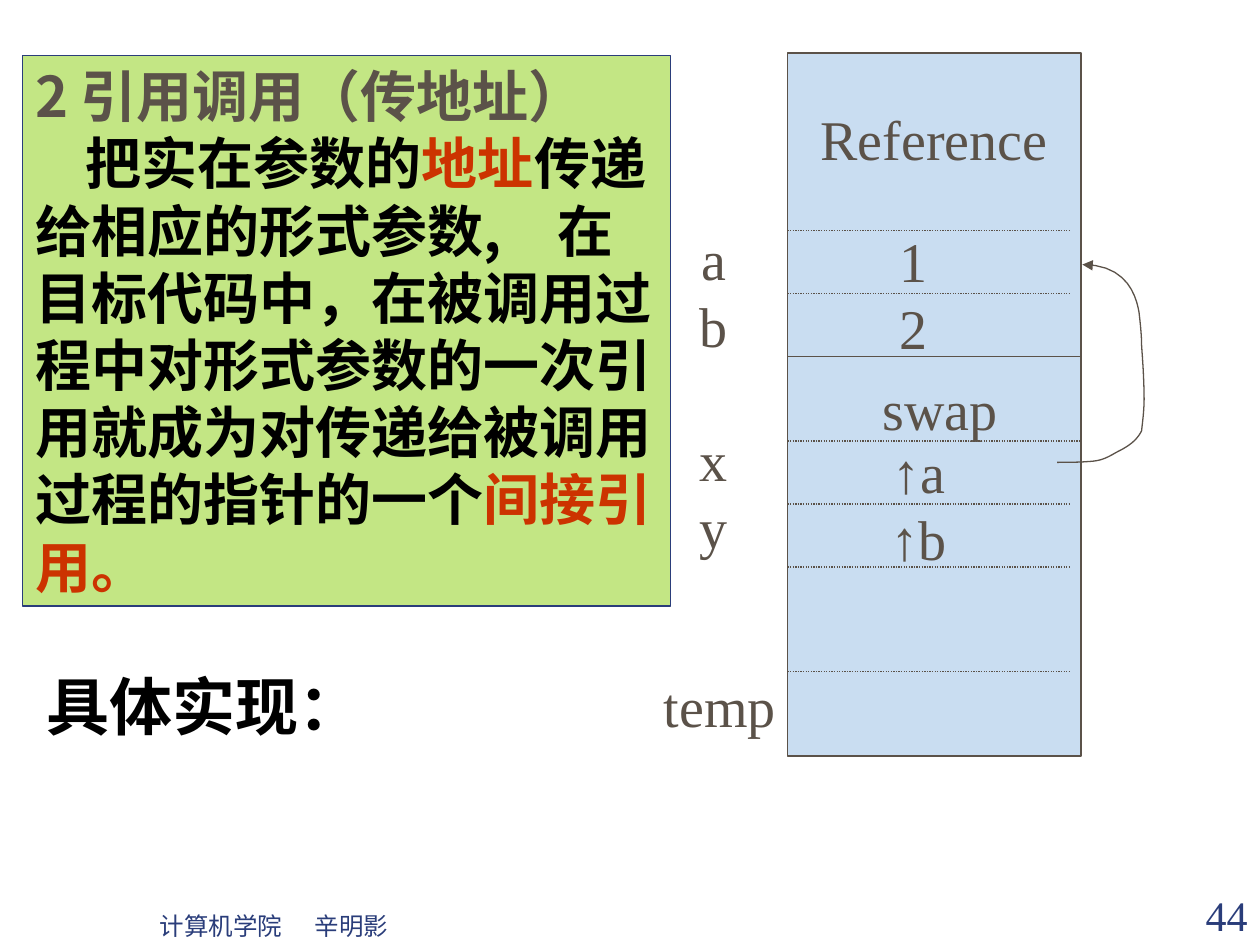
import pptx
import pptx.util
import pptx.dml.color
import pptx.enum.dml
import pptx.enum.shapes
import pptx.enum.text
import pptx.oxml.ns
from lxml import etree

SERIF, SANS, CJK = "Times New Roman", "Arial", "Noto Sans CJK JP"
BROWN, BLUE, RED, BLACK = "5B5249", "2A3D7A", "CC3300", "000000"
GREEN, SKY = "C3E684", "C9DDF1"
LEFT, CENTER, RIGHT = "LEFT", "CENTER", "RIGHT"

RULE = [
    [("2 引用调用（传地址）", CJK, BROWN)],
    [
        ("把实在参数的", CJK, BLACK),
        ("地址", CJK, RED),
        ("传递给相应的形式参数,　在目标代码中，在被调用过程中对形式参数的一次引用"
         "就成为对传递给被调用过程的指针的一个", CJK, BLACK),
        ("间接引用。", CJK, RED),
    ],
]
POINTERS = [[("↑", SANS, BROWN), (name, SERIF, BROWN)] for name in "ab"]

STACK_X, STACK_W, DIVIDER_W = 6.25, 2.33, 2.25
FRAMES = [(0.42, 2.42), (2.83, 3.17)]
DIVIDERS = [(1.83, DIVIDER_W), (2.33, DIVIDER_W), (3.5, STACK_W),
            (4, DIVIDER_W), (4.5, DIVIDER_W), (5.33, DIVIDER_W)]
LINE_PITCH = 1.2
CURVE_START = (8.39, 3.67)
CURVE = [
    [(8.48, 3.67), (8.58, 3.67), (8.68, 3.66)],
    [(8.77, 3.65), (8.82, 3.61), (8.88, 3.58)],
    [(8.98, 3.53), (9.03, 3.48), (9.06, 3.42)],
    [(9.07, 3.33), (9.08, 3.25), (9.08, 3.17)],
    [(9.08, 3.03), (9.07, 2.88), (9.06, 2.74)],
    [(9.06, 2.66), (9.05, 2.57), (9.04, 2.48)],
    [(9.02, 2.37), (8.96, 2.1), (8.59, 2.1)],
]
CURVE_STEPS = 10


def rgb(value):
    """Turn a hex string into a colour."""
    return pptx.dml.color.RGBColor.from_string(value)


def inches(*values):
    """Convert several lengths."""
    return [pptx.util.Inches(v) for v in values]


def add_child(parent, tag, **attrs):
    """Append a drawing element."""
    return etree.SubElement(parent, pptx.oxml.ns.qn(tag), attrs)


def set_line(shape, color=BROWN):
    """Give a shape its thin outline."""
    shape.line.color.rgb = rgb(color)
    shape.line.width = pptx.util.Pt(0.75)


def plain(text, color=BROWN):
    """Return a paragraph of one serif run."""
    return [(text, SERIF, color)]


def write(s, paragraphs, size=32, align=CENTER, bold=False, anchor="TOP"):
    """Fill a shape with paragraphs of coloured runs."""
    tf = s.text_frame
    tf.word_wrap = True
    tf.vertical_anchor = pptx.enum.text.MSO_ANCHOR[anchor]
    for i, runs in enumerate(paragraphs):
        p = tf.add_paragraph() if i else tf.paragraphs[0]
        p.alignment = pptx.enum.text.PP_ALIGN[align]
        p.line_spacing = pptx.util.Pt(LINE_PITCH * size)
        for text, font, color in runs:
            r = p.add_run()
            r.text = text
            r.font.name, r.font.bold = font, bold
            r.font.size = pptx.util.Pt(size)
            r.font.color.rgb = rgb(color)
            add_child(r.font._element, "a:ea", typeface=CJK)
    return tf


def add_text(slide, box, paragraphs, **style):
    """Add a text box."""
    return write(slide.shapes.add_textbox(*inches(*box)), paragraphs, **style)


def add_box(slide, box, fill, line):
    """Add a filled rectangle."""
    kind = pptx.enum.shapes.MSO_SHAPE.RECTANGLE
    s = slide.shapes.add_shape(kind, *inches(*box))
    s.shadow.inherit = False
    s.fill.solid()
    s.fill.fore_color.rgb = rgb(fill)
    set_line(s, line)
    return s


def add_divider(slide, y, width):
    """Add a dotted line across the stack."""
    kind = pptx.enum.shapes.MSO_CONNECTOR.STRAIGHT
    s = slide.shapes.add_connector(kind, *inches(STACK_X, y, STACK_X + width, y))
    set_line(s)
    s.line.dash_style = pptx.enum.dml.MSO_LINE.ROUND_DOT
    add_child(s._element.spPr, "a:effectLst")


def curve_points():
    """Sample the Bezier segments of the pointer arrow."""
    start, points = CURVE_START, []
    for c1, c2, end in CURVE:
        for step in range(1, CURVE_STEPS + 1):
            t = step / CURVE_STEPS
            u = 1 - t
            points.append(tuple(
                u**3 * a + 3 * u * u * t * b + 3 * u * t * t * c + t**3 * d
                for a, b, c, d in zip(start, c1, c2, end)))
        start = end
    return points


def add_pointer(slide):
    """Draw the arrow from the formal parameter to its argument."""
    builder = slide.shapes.build_freeform(*inches(*CURVE_START))
    builder.add_line_segments([inches(*pt) for pt in curve_points()], close=False)
    s = builder.convert_to_shape()
    s.shadow.inherit = False
    s.fill.background()
    set_line(s)
    add_child(s.line._get_or_add_ln(), "a:tailEnd", type="triangle")


def main():
    """Build the slide on call by reference."""
    prs = pptx.Presentation()
    prs.slide_width, prs.slide_height = inches(10, 7.5)
    slide = prs.slides.add_slide(prs.slide_layouts[6])

    rule = add_box(slide, (0.18, 0.44, 5.14, 4.37), GREEN, BLUE)
    tf = write(rule, RULE, align=LEFT, bold=True)
    tf.paragraphs[1]._p.get_or_add_pPr().set("indent", str(pptx.util.Inches(0.4)))

    upper, lower = [add_box(slide, (STACK_X, y, STACK_W, h), SKY, BROWN)
                    for y, h in FRAMES]
    tf = write(upper, [plain("Reference")], anchor="MIDDLE")
    tf.margin_bottom = pptx.util.Inches(1.12)
    for y, width in DIVIDERS:
        add_divider(slide, y, width)

    tf = add_text(slide, (5.33, 1.73, 0.67, 2.77), [plain(c) for c in "abxy"])
    tf.paragraphs[2].space_before = pptx.util.Pt(32 * LINE_PITCH)
    add_text(slide, (7, 1.75, 0.5, 1.17), [plain(c) for c in "12"])
    add_text(slide, (6.75, 2.92, 1.42, 0.64), [plain("swap")])
    add_text(slide, (6.83, 3.42, 0.92, 1.17), POINTERS)
    add_text(slide, (5.17, 5.28, 1.17, 0.64), [plain("temp")], align=LEFT)
    add_pointer(slide)

    add_text(slide, (0.27, 5.25, 4.25, 0.7), [plain("具体实现：", BLACK)],
             size=36, align=LEFT, bold=True)
    add_text(slide, (9, 7.01, 1, 0.5), [plain("44", BLUE)],
             size=24, align=RIGHT, anchor="BOTTOM")
    tf = add_text(slide, (1.17, 7.01, 2.08, 0.5), [plain("计算机学院\t辛明影", BLUE)],
                  size=14, align=LEFT, anchor="BOTTOM")
    tabs = add_child(tf.paragraphs[0]._p.get_or_add_pPr(), "a:tabLst")
    add_child(tabs, "a:tab", pos=str(pptx.util.Inches(1.23)), algn="l")
    prs.save("out.pptx")


if __name__ == "__main__":
    main()
